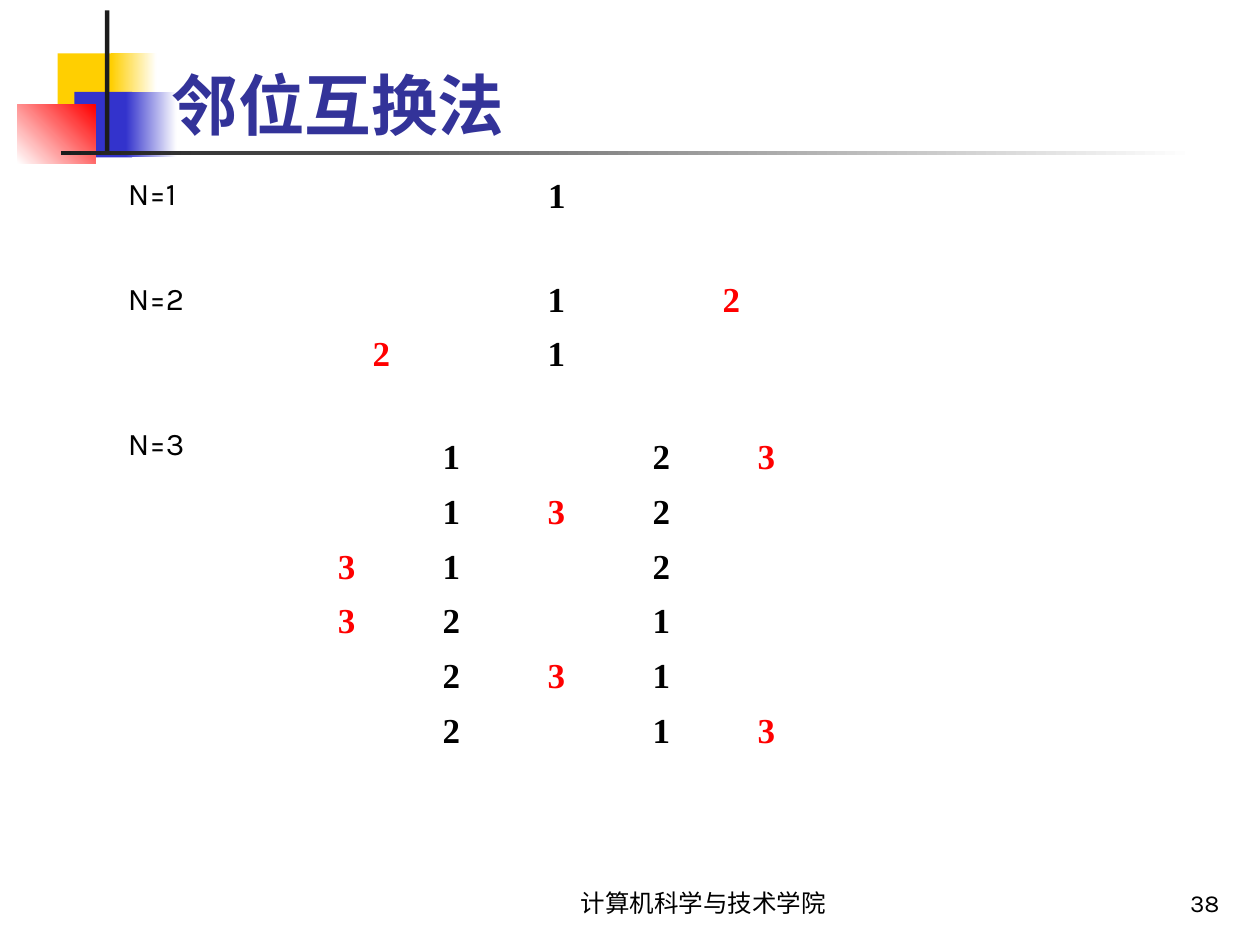
from pptx import Presentation
from pptx.dml.color import RGBColor
from pptx.enum.shapes import MSO_SHAPE as Shape
from pptx.enum.text import MSO_ANCHOR as Anchor, PP_ALIGN as Align
from pptx.util import Pt

COLORS = {
    "yellow": "FFCF01", "blue": "3333CC", "red": "FF0000", "white": "FFFFFF",
    "rule": "1C1C1C", "title": "333399", "text": "000000",
}
BODY_FONT = "Karla"
DIGIT_FONT = "Times New Roman"


def rgb(name):
    return RGBColor.from_string(COLORS[name])


def write(frame, text, size=18, font=BODY_FONT, color="text", bold=False,
          align=Align.LEFT):
    para = frame.paragraphs[0]
    para.alignment = align
    span = para.add_run()
    span.text = text
    span.font.size = Pt(size)
    span.font.name = font
    span.font.bold = bold
    span.font.color.rgb = rgb(color)


def add_text(page, box, text, anchor=Anchor.TOP, **style):
    frame = page.shapes.add_textbox(*map(Pt, box)).text_frame
    frame.word_wrap = True
    frame.vertical_anchor = anchor
    write(frame, text, **style)


def add_block(page, box, color, fade_to=None, angle=0):
    block = page.shapes.add_shape(Shape.RECTANGLE, *map(Pt, box))
    block.shadow.inherit = False
    block.line.fill.background()
    if fade_to is None:
        block.fill.solid()
        block.fill.fore_color.rgb = rgb(color)
        return
    block.fill.gradient()
    block.fill.gradient_angle = angle
    for stop, name in zip(block.fill.gradient_stops, (color, fade_to)):
        stop.color.rgb = rgb(name)
    block.fill.gradient_stops[0].position = 0
    block.fill.gradient_stops[1].position = 1


def add_ornament(page, left, top):
    """Overlapping squares crossed by a vertical and a horizontal rule."""
    def block(x, y, width, height, *fill):
        add_block(page, (left + x, top + y, width, height), *fill)

    block(23, 24.5, 34.5, 37.5, "yellow")
    block(53.5, 24.5, 26, 37.5, "yellow", "white")
    block(32.5, 46.5, 33, 37.5, "blue")
    block(62, 46.5, 29, 37.5, "blue", "white")
    block(0, 54, 44.5, 33.5, "white", "red", 45)
    block(50, 0, 2.5, 82.5, "rule")
    block(25, 80.3, 648, 2.3, "rule", "white")


def add_grid(page, box, rows, newest=None, anchor=Anchor.MIDDLE,
             align=Align.CENTER):
    """Table of digits, one string a row; the newest digit stands out in red."""
    width, height = box[2:]
    table = page.shapes.add_table(len(rows), len(rows[0]), *map(Pt, box)).table
    table.first_row = table.horz_banding = False
    for column in table.columns:
        column.width = Pt(width / len(rows[0]))
    for row, digits in zip(table.rows, rows):
        row.height = Pt(height / len(rows))
        for cell, digit in zip(row.cells, digits):
            cell.fill.background()
            cell.vertical_anchor = anchor
            if digit != " ":
                write(cell.text_frame, digit, size=20, font=DIGIT_FONT,
                      bold=True, align=align,
                      color="red" if digit == newest else "text")


def add_steps(page, left, top):
    """Permutations of one, two and three elements, each with its label."""
    for number, y in ((1, 0), (2, 60), (3, 143)):
        add_text(page, (left, top + y, 132, 29), f"N={number}")
    add_grid(page, (left + 240, top + 1.5, 33, 34.5), ["1"],
             anchor=Anchor.TOP, align=Align.LEFT)
    add_grid(page, (left + 102, top + 60, 300, 62.5), [" 12", "21 "], "2")
    add_grid(page, (left + 102, top + 150, 300, 187.5),
             [" 1 23", " 132 ", "31 2 ", "32 1 ", " 231 ", " 2 13"], "3")


def add_footer(page, top, height):
    style = dict(size=14, anchor=Anchor.BOTTOM)
    add_text(page, (288, top, 228, height), "计算机科学与技术学院",
             align=Align.CENTER, **style)
    add_text(page, (554, top, 150, height), "38", align=Align.RIGHT, **style)


def main():
    deck = Presentation()
    deck.slide_width, deck.slide_height = Pt(720), Pt(540)
    page = deck.slides.add_slide(deck.slide_layouts[6])

    add_ornament(page, 10, 6)
    add_footer(page, 492, 36)
    add_text(page, (91, 12, 613, 73.5), "邻位互换法", size=38, color="title",
             bold=True, anchor=Anchor.BOTTOM)
    add_steps(page, 66, 96)

    deck.save("out.pptx")


if __name__ == "__main__":
    main()
